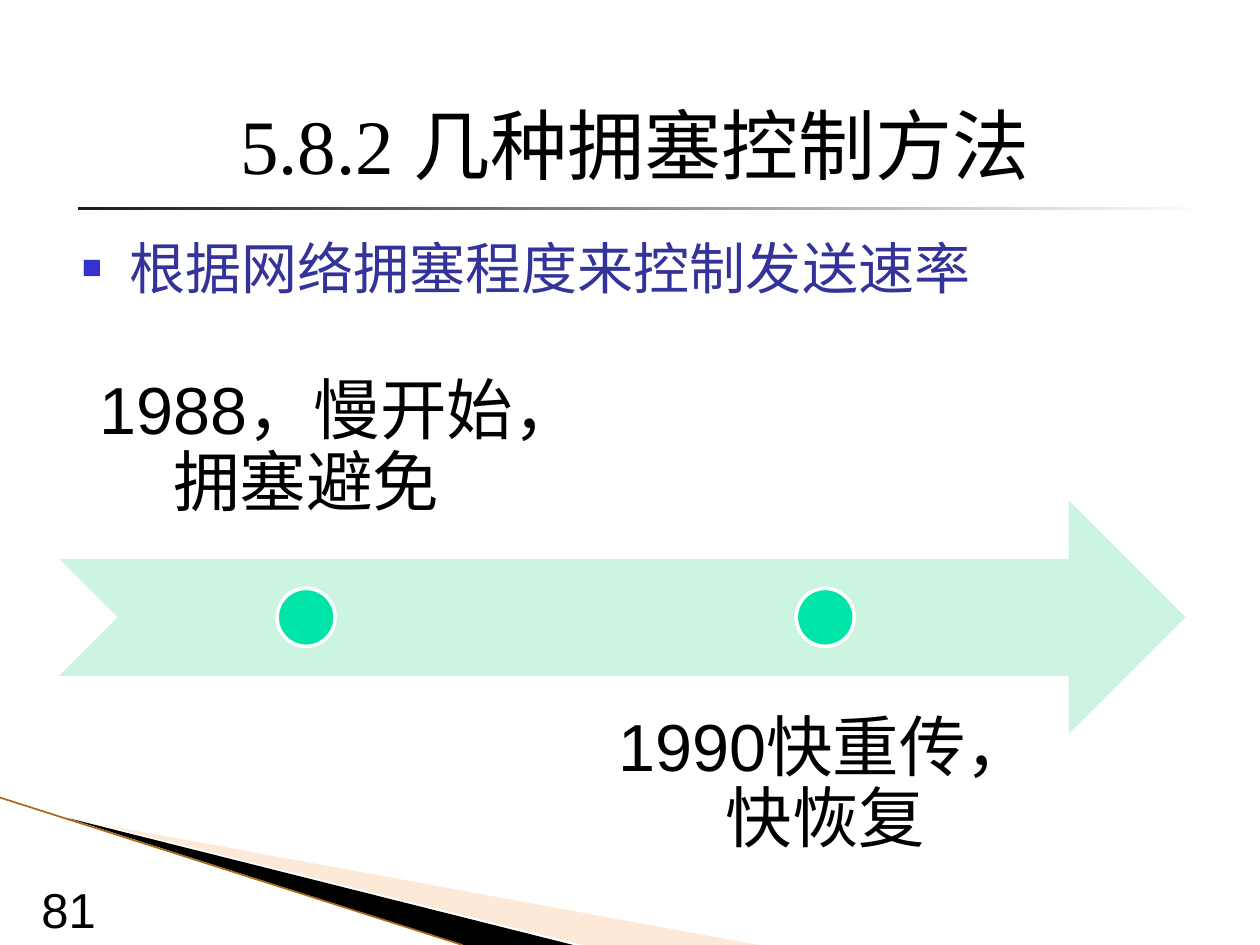
from collections import namedtuple

from lxml import etree
from pptx import Presentation
from pptx.dml.color import RGBColor
from pptx.enum.shapes import MSO_CONNECTOR as Connector, MSO_SHAPE as Shape
from pptx.enum.text import MSO_ANCHOR as Anchor, MSO_AUTO_SIZE as AutoSize, PP_ALIGN as Align
from pptx.oxml.ns import qn
from pptx.util import Inches, Pt

BLACK = RGBColor(0x00, 0x00, 0x00)
WHITE = RGBColor(0xFF, 0xFF, 0xFF)
CHARCOAL = RGBColor(0x1C, 0x1C, 0x1C)
PEACH = RGBColor(0xFB, 0xC9, 0x9E)
BRONZE = RGBColor(0xAA, 0x6A, 0x14)
MINT = RGBColor(0xCC, 0xF5, 0xE1)
GREEN = RGBColor(0x00, 0xE4, 0xA8)
NAVY = RGBColor(0x33, 0x33, 0x99)
BULLET_BLUE = "3333CC"

SERIF = "Times New Roman"
SANS = "Arial"
TITLE_FONT = {"name": SERIF, "size": Pt(44), "bold": False}
POINT_FONT = {"name": SERIF, "size": Pt(32)}
LABEL_FONT = {"name": SANS, "size": Pt(38)}
NUMBER_FONT = {"name": SANS, "size": Pt(28)}

Box = namedtuple("Box", "left top width height")


def inch_box(*lengths):
    return Box(*(Inches(length) for length in lengths))


def apply_format(target, values):
    for name, value in values.items():
        setattr(target, name, value)


def write_text(shape, text, font, color, para_format=None, **frame_format):
    """Fill a shape with one formatted paragraph and return the paragraph."""
    frame = shape.text_frame
    frame.text = text
    apply_format(frame, {"word_wrap": True, "auto_size": AutoSize.NONE, **frame_format})
    para = frame.paragraphs[0]
    apply_format(para, para_format or {})
    span = para.runs[0]
    apply_format(span.font, font)
    span.font.color.rgb = color
    return para


def add_solid(page, kind, box, color):
    shape = page.shapes.add_shape(kind, *box)
    shape.shadow.inherit = False
    shape.fill.solid()
    shape.fill.fore_color.rgb = color
    shape.line.fill.background()
    return shape


def add_wedge(page, box, corners, color, opacity=100):
    """Draw a polygon whose corners are inches from the top left of the box."""
    points = [(box.left + Inches(x), box.top + Inches(y)) for x, y in corners]
    builder = page.shapes.build_freeform(*points[0], scale=1.0)
    builder.add_line_segments(points[1:], close=True)
    wedge = builder.convert_to_shape()
    wedge.shadow.inherit = False
    wedge.fill.solid()
    wedge.fill.fore_color.rgb = color
    wedge.line.fill.background()
    if opacity < 100:
        swatch = wedge.fill._xPr.find(qn("a:solidFill"))[0]
        etree.SubElement(swatch, qn("a:alpha"), val=str(opacity * 1000))


def add_corner_decoration(page, box):
    add_wedge(page, box, [(0.62, 0.18), (6.02, 1.17), (4.63, 1.17), (0.62, 0.17)], PEACH, 40)
    add_wedge(page, box, [(0.53, 0.16), (4.55, 1.17), (3.68, 1.17)], BLACK)
    edge = page.shapes.add_connector(
        Connector.STRAIGHT, box.left, box.top, box.left + Inches(3.67), box.top + box.height)
    edge.line.color.rgb = BRONZE
    edge.line.width = Pt(0.95)
    etree.SubElement(edge._element.spPr, qn("a:effectLst"))


def add_title_rule(page, box):
    rule = add_solid(page, Shape.RECTANGLE, box, CHARCOAL)
    rule.fill.gradient()
    rule.fill.gradient_angle = 0
    for stop, color in zip(rule.fill.gradient_stops, (CHARCOAL, WHITE)):
        stop.color.rgb = color


def place_title(page, box, text):
    title = page.shapes.title
    apply_format(title, box._asdict())
    write_text(title, text, TITLE_FONT, BLACK, {"alignment": Align.CENTER},
               vertical_anchor=Anchor.BOTTOM)


def place_key_point(page, box, text):
    body = page.placeholders[1]
    apply_format(body, box._asdict())
    para = write_text(body, text, POINT_FONT, NAVY, {"space_before": Pt(0)},
                      vertical_anchor=Anchor.TOP)
    properties = para._p.get_or_add_pPr()
    properties.set("marL", str(Inches(0.38)))
    properties.set("indent", str(-Inches(0.38)))
    bullet_color = etree.SubElement(properties, qn("a:buClr"))
    etree.SubElement(bullet_color, qn("a:srgbClr"), val=BULLET_BLUE)
    etree.SubElement(properties, qn("a:buSzPct"), val="60000")
    etree.SubElement(properties, qn("a:buChar"), char="■")


def add_timeline(page, box, events):
    """Draw an arrow with one dot per event and labels above and below in turn."""
    band = int(box.height * 0.4)
    arrow_box = Box(box.left, box.top + int(box.height * 0.3), box.width, band)
    add_solid(page, Shape.NOTCHED_RIGHT_ARROW, arrow_box, MINT)

    label_width, step, dot_size = Inches(3.92), Inches(4.12), Inches(0.46)
    margins = dict.fromkeys(
        ("margin_left", "margin_top", "margin_right", "margin_bottom"), Inches(0.3))
    for index, event in enumerate(events):
        below = index % 2 == 1
        left = box.left + index * step
        top = box.top + (box.height - band if below else 0)
        label = page.shapes.add_textbox(left, top, label_width, band)
        write_text(label, event, LABEL_FONT, BLACK,
                   {"alignment": Align.CENTER, "line_spacing": 0.9},
                   vertical_anchor=Anchor.TOP if below else Anchor.BOTTOM, **margins)
        dot_box = Box(left + (label_width - dot_size) // 2,
                      box.top + (box.height - dot_size) // 2, dot_size, dot_size)
        dot = add_solid(page, Shape.OVAL, dot_box, GREEN)
        dot.line.color.rgb = WHITE
        dot.line.width = Pt(2)


def add_page_number(page, box, number):
    write_text(page.shapes.add_textbox(*box), number, NUMBER_FONT, BLACK,
               {"alignment": Align.RIGHT}, vertical_anchor=Anchor.BOTTOM)


def main():
    deck = Presentation()
    deck.slide_width, deck.slide_height = Inches(10), Inches(7.5)
    page = deck.slides.add_slide(deck.slide_layouts[1])
    add_title_rule(page, inch_box(0.62, 1.64, 9, 0.03))
    add_corner_decoration(page, inch_box(0, 6.33, 6.02, 1.17))
    place_title(page, inch_box(0.55, 0.23, 8.98, 1.33), "5.8.2 几种拥塞控制方法")
    add_timeline(page, inch_box(0.47, 2.58, 8.94, 4.64),
                 ["1988，慢开始，拥塞避免", "1990快重传，快恢复"])
    add_page_number(page, inch_box(0, 7.03, 0.86, 0.47), "81")
    place_key_point(page, inch_box(0.55, 1.8, 8.94, 0.78), "根据网络拥塞程度来控制发送速率")
    deck.save("out.pptx")


if __name__ == "__main__":
    main()
